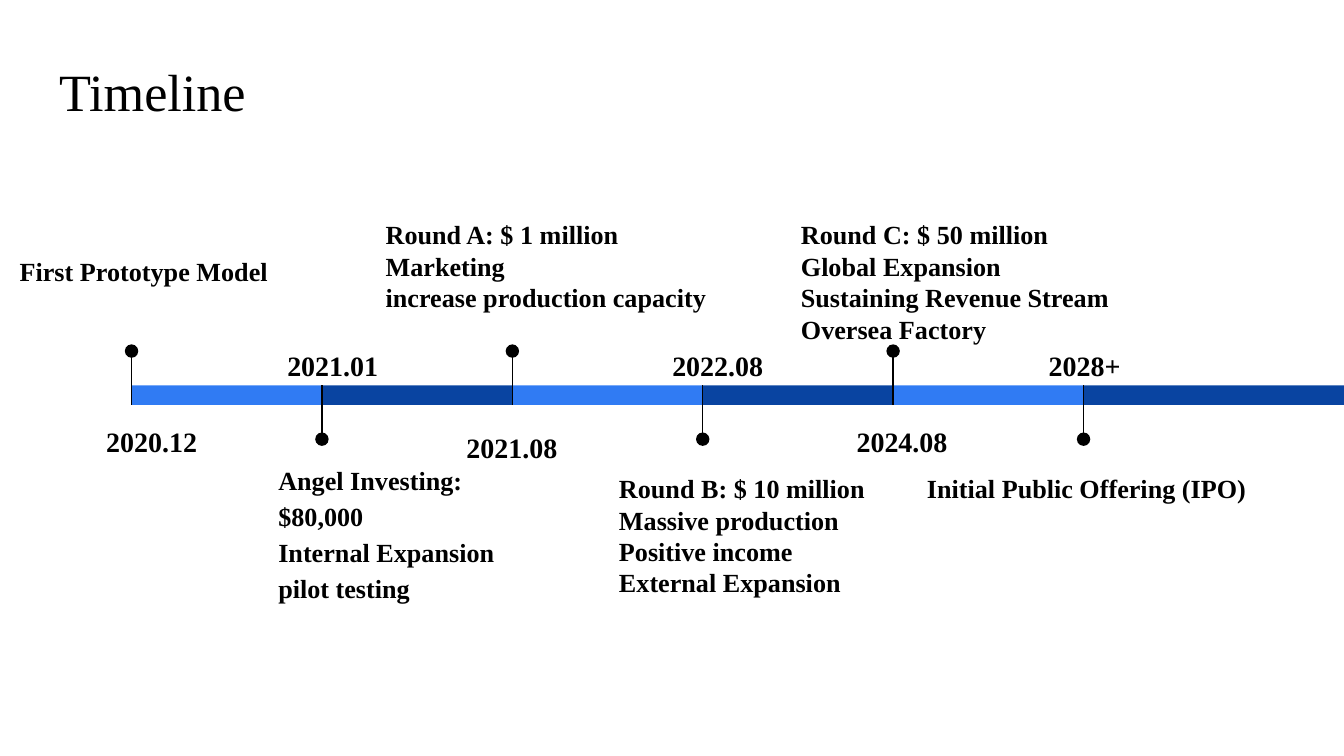
from dataclasses import dataclass

from lxml.etree import SubElement
from pptx import Presentation
from pptx.dml.color import RGBColor
from pptx.enum.shapes import MSO_CONNECTOR as Connector, MSO_SHAPE as Shape
from pptx.enum.text import MSO_ANCHOR as Anchor, PP_ALIGN as Align
from pptx.oxml.ns import qn
from pptx.util import Pt

FONT = "Times New Roman"
BLACK, LIGHT_BLUE, DARK_BLUE = "000000", "307BF3", "0944A1"
WIDTH, HEIGHT = 720, 405
STEP = 102
DOT = 7.2
REACH = 18.4


@dataclass
class Milestone:
    """A dated event; its boxes are offsets from the start of its bar."""
    date: str
    date_box: tuple
    note: str
    note_box: tuple
    note_spacing: float = 1.0


MILESTONES = [
    Milestone("2020.12", (-26, 11, 73.5, 29.5),
              "First Prototype Model", (-67, -77, 168.5, 29.5)),
    Milestone("2021.01", (-28.5, -29.5, 68.5, 29.5),
              "Angel Investing:$80,000\nInternal Expansion\npilot testing",
              (-30.5, 32.5, 154, 94.5), 1.15),
    Milestone("2021.08", (-34.5, 14.5, 68.5, 29.5),
              "Round A: $ 1 million\nMarketing\nincrease production capacity",
              (-75, -96.5, 222.5, 74)),
    Milestone("2022.08", (-29, -29.5, 74, 29.5),
              "Round B: $ 10 million\nMassive production\n"
              "Positive income\nExternal Expansion",
              (-52, 39.5, 154, 74)),
    Milestone("2024.08", (-29, 11, 67.5, 29.5),
              "Round C: $ 50 million\nGlobal Expansion\n"
              "Sustaining Revenue Stream\nOversea Factory",
              (-56.5, -96.5, 191.5, 74)),
    Milestone("2028+", (-29, -29.5, 59, 29.5),
              "Initial Public Offering (IPO)", (-91, 39.5, 222.5, 74)),
]


def color(hex_code):
    """Turn a hex string into a colour."""
    return RGBColor.from_string(hex_code)


def format_text(frame, size, bold=False, align=Align.LEFT, spacing=1.0):
    """Format every paragraph of a text frame."""
    frame.word_wrap = True
    frame.vertical_anchor = Anchor.TOP
    frame.margin_left = frame.margin_right = Pt(7.2)
    frame.margin_top = frame.margin_bottom = Pt(7.2)
    for paragraph in frame.paragraphs:
        paragraph.alignment = align
        paragraph.line_spacing = spacing
        for run in paragraph.runs:
            run.font.name = FONT
            run.font.size = Pt(size)
            run.font.bold = bold
            run.font.color.rgb = color(BLACK)


def add_label(slide, text, box, size, **style):
    """Add a bold text box."""
    frame = slide.shapes.add_textbox(*map(Pt, box)).text_frame
    frame.text = text
    format_text(frame, size, bold=True, **style)


def add_filled(slide, kind, box, fill):
    """Add a preset shape with a plain fill and no outline."""
    shape = slide.shapes.add_shape(kind, *map(Pt, box))
    shape.shadow.inherit = False
    shape.fill.solid()
    shape.fill.fore_color.rgb = color(fill)
    shape.line.fill.background()


def add_pin(slide, x, tip, foot):
    """Add a stem from tip to foot with a dot on its tip."""
    stem = slide.shapes.add_connector(
        Connector.STRAIGHT, Pt(x), Pt(tip), Pt(x), Pt(foot))
    stem.line.color.rgb = color(BLACK)
    stem.line.width = Pt(0.75)
    SubElement(stem._element.spPr, qn("a:effectLst"))
    add_filled(slide, Shape.OVAL, (x - DOT / 2, tip - DOT / 2, DOT, DOT), BLACK)


def add_milestone(slide, milestone, box, fill, points_up):
    """Add one bar segment with its pin, date and note."""
    left, top, _, height = box

    def place(offsets):
        """Move an offset box to the start of the bar."""
        dx, dy, width, depth = offsets
        return left + dx, top + dy, width, depth

    add_filled(slide, Shape.RECTANGLE, box, fill)
    if points_up:
        add_pin(slide, left, top - REACH, top + height)
    else:
        add_pin(slide, left, top + height + REACH, top)
    add_label(slide, milestone.date, place(milestone.date_box), 15,
              align=Align.CENTER, spacing=1.15)
    add_label(slide, milestone.note, place(milestone.note_box), 14,
              spacing=milestone.note_spacing)


def add_timeline(slide, box):
    """Add the milestones in a row; the last bar runs to the end of the box."""
    left, top, width, height = box
    for index, milestone in enumerate(MILESTONES):
        start = index * STEP
        length = width - start if milestone is MILESTONES[-1] else STEP
        points_up = index % 2 == 0
        add_milestone(slide, milestone, (left + start, top, length, height),
                      LIGHT_BLUE if points_up else DARK_BLUE, points_up)


def add_title(slide, text, box):
    """Fill and place the title placeholder."""
    title = slide.shapes.title
    title.left, title.top, title.width, title.height = map(Pt, box)
    title.text_frame.text = text
    format_text(title.text_frame, 28)


def main():
    """Build and save the slide."""
    deck = Presentation()
    deck.slide_width, deck.slide_height = Pt(WIDTH), Pt(HEIGHT)
    slide = deck.slides.add_slide(deck.slide_layouts[5])
    add_title(slide, "Timeline", (24.5, 24.5, 671, 45.5))
    add_timeline(slide, (70.5, 206.5, WIDTH - 70.5, 10.4))
    deck.save("out.pptx")


if __name__ == "__main__":
    main()
